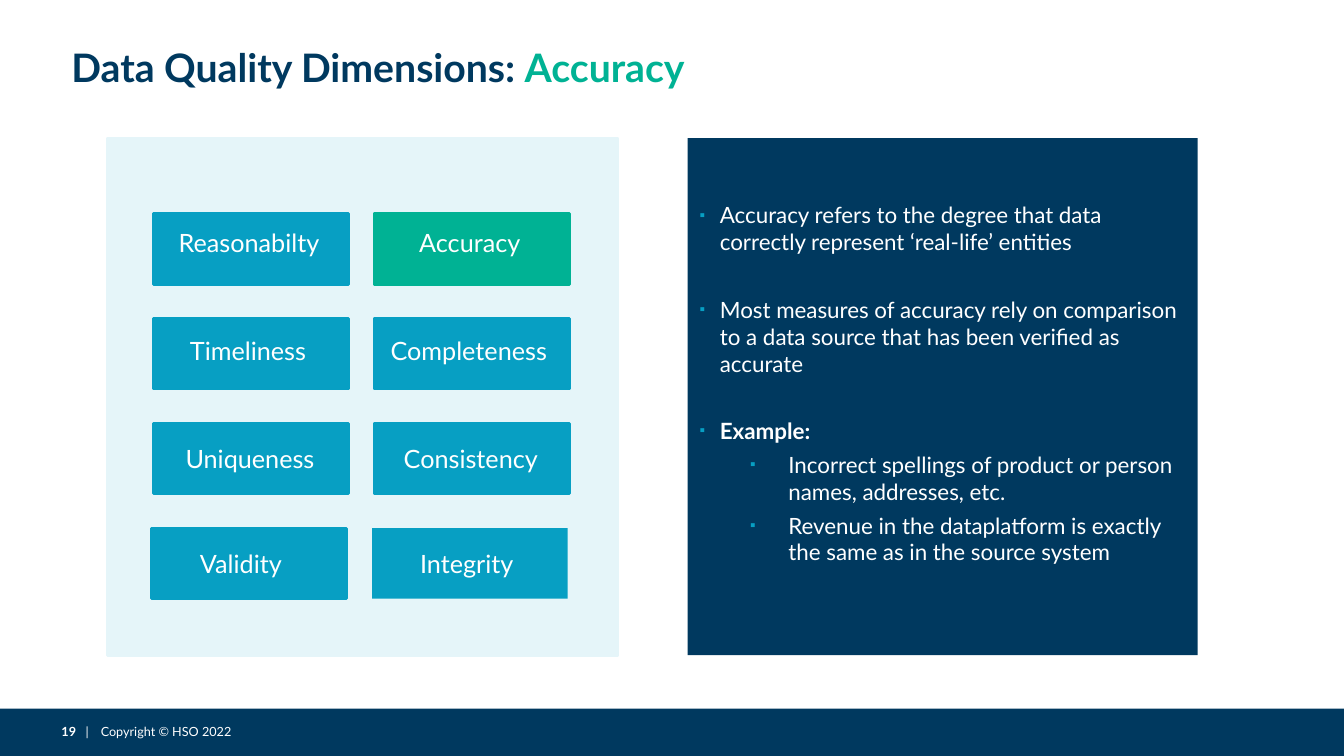
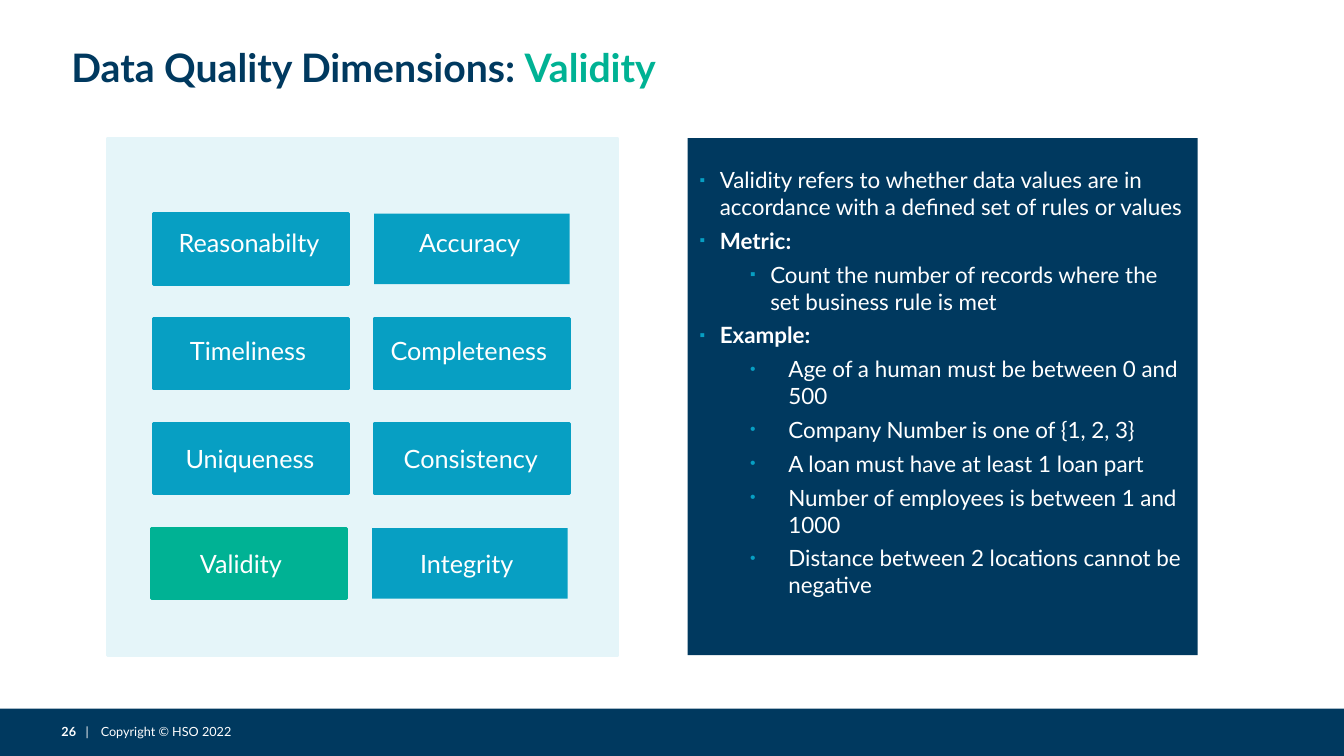
from lxml import etree
from pptx import Presentation
from pptx import util as u
from pptx.dml.color import RGBColor
from pptx.enum import shapes, text
from pptx.oxml.ns import qn

PX = 9144  # 100 px to the inch
FONT = "Lato"
HEX = {"navy": "00395F", "blue": "079FC3", "green": "00B294",
       "pale": "E5F5F9", "white": "FFFFFF"}

# label, shift of the text to the left, shift of the text upwards
TILES = [
    [("Reasonabilty", 2, 6), ("Accuracy", 2, 6)],
    [("Timeliness", 3, 3), ("Completeness", 3, 3)],
    [("Uniqueness", 1, 0), ("Consistency", 1, 0)],
    [("Validity", 8, 0), ("Integrity", 3, 0)],
]
TILE_W, TILE_H = 194, 70
TILE_X, TILE_Y = 152, 212
STEP_X, STEP_Y = 219, 104
LAST_DX = -2

# kind: bullet, text indent, hanging indent, bold
KINDS = {
    "main": ("▪", 20, 20, False),
    "head": ("▪", 20, 20, True),
    "near": ("▪", 70, 20, False),
    "sub": ("▪", 88, 38, False),
    "dot": ("•", 88, 38, False),
}
GAP, WIDE = 5, 29  # points before a paragraph

SLIDES = [
    {"topic": "Accuracy", "page": "19", "bare": {"Integrity"}, "top": 63,
     "points": [
         ("main", GAP, "Accuracy refers to the degree that data correctly "
                       "represent ‘real-life’ entities"),
         ("main", WIDE, "Most measures of accuracy rely on comparison to a "
                        "data source that has been verified as accurate"),
         ("head", WIDE, "Example:"),
         ("sub", GAP, "Incorrect spellings of product or person names, "
                      "addresses, etc."),
         ("sub", GAP, "Revenue in the dataplatform is exactly the same as in "
                      "the source system"),
     ]},
    {"topic": "Validity", "page": "26", "bare": {"Accuracy", "Integrity"},
     "top": 28,
     "points": [
         ("main", GAP, "Validity refers to whether data values are in "
                       "accordance with a defined set of rules or values"),
         ("head", GAP, "Metric:"),
         ("near", GAP, "Count the number of records where the set business "
                       "rule is met"),
         ("head", GAP, "Example:"),
         ("dot", GAP, "Age of a human must be between 0 and 500"),
         ("dot", GAP, "Company Number is one of {1, 2, 3}"),
         ("dot", GAP, "A loan must have at least 1 loan part"),
         ("dot", GAP, "Number of employees is between 1 and 1000"),
         ("dot", GAP, "Distance between 2 locations cannot be negative"),
     ]},
]


def rgb(name):
    return RGBColor.from_string(HEX[name])


def style(font, size, color, bold=False):
    font.name, font.size, font.bold = FONT, u.Pt(size), bold
    font.color.rgb = rgb(color)


def add_run(para, words, *look):
    run = para.add_run()
    run.text = words
    style(run.font, *look)


def set_frame(shape, left, top, right, bottom, anchor):
    frame = shape.text_frame
    frame.word_wrap = True
    frame.margin_left, frame.margin_top = left * PX, top * PX
    frame.margin_right, frame.margin_bottom = right * PX, bottom * PX
    frame.vertical_anchor = anchor
    return frame


def add_text(slide, box, side, edge):
    shape = slide.shapes.add_textbox(*(n * PX for n in box))
    frame = set_frame(shape, side, edge, side, edge, text.MSO_ANCHOR.MIDDLE)
    return frame.paragraphs[0]


def add_rect(slide, box, color, line=False):
    shape = slide.shapes.add_shape(shapes.MSO_SHAPE.RECTANGLE,
                                   *(n * PX for n in box))
    shape.shadow.inherit = False
    shape.fill.solid()
    shape.fill.fore_color.rgb = rgb(color)
    if line:
        shape.line.color.rgb = rgb(color)
        shape.line.width = u.Pt(2)
    else:
        shape.line.fill.background()
    return shape


def add_sub(parent, tag, **attrs):
    return etree.SubElement(parent, qn(tag), **attrs)


def set_bullet(para, mark, indent, hang):
    props = para._p.get_or_add_pPr()
    props.set("marL", str(indent * PX))
    props.set("indent", str(-hang * PX))
    add_sub(add_sub(props, "a:buClr"), "a:srgbClr", val=HEX["blue"])
    add_sub(props, "a:buSzPct", val="70000")
    add_sub(props, "a:buFont", typeface="Arial")
    add_sub(props, "a:buChar", char=mark)


def add_frame(slide, topic, page):
    """Add the title, the footer band and the footer text."""
    add_rect(slide, (0, 703, 1333, 47), "navy")
    foot = add_text(slide, (61, 718, 184, 15), 0, 0)
    tabs = add_sub(foot._p.get_or_add_pPr(), "a:tabLst")
    for stop in (24, 39):
        add_sub(tabs, "a:tab", pos=str(stop * PX), algn="l")
    add_run(foot, page, 9, "white", True)
    add_run(foot, "\t|\tCopyright © HSO 2022", 9, "white")
    title = add_text(slide, (61, 39, 1211, 55), 10, 4)
    add_run(title, "Data Quality Dimensions: ", 28, "navy", True)
    add_run(title, topic, 28, "green", True)


def add_points(slide, points, top):
    panel = add_rect(slide, (682, 137, 506, 513), "navy")
    frame = set_frame(panel, 12, top, 12, 12, text.MSO_ANCHOR.TOP)
    for i, (kind, space, words) in enumerate(points):
        para = frame.add_paragraph() if i else frame.paragraphs[0]
        mark, indent, hang, bold = KINDS[kind]
        para.text = words
        para.alignment = text.PP_ALIGN.LEFT
        set_bullet(para, mark, indent, hang)
        if i:
            para.space_before = u.Pt(space)
        style(para.runs[0].font, 16, "white", bold)


def add_tiles(slide, topic, bare):
    add_rect(slide, (107, 137, 506, 513), "pale", True)
    for r, row in enumerate(TILES):
        dx = LAST_DX if r == len(TILES) - 1 else 0
        for c, (label, left, lift) in enumerate(row):
            box = (TILE_X + c * STEP_X + dx, TILE_Y + r * STEP_Y,
                   TILE_W, TILE_H)
            color = "green" if label == topic else "blue"
            tile = add_rect(slide, box, color, label not in bare)
            frame = set_frame(tile, 0, 0, 2 * left, 2 * lift,
                              text.MSO_ANCHOR.MIDDLE)
            para = frame.paragraphs[0]
            para.text = label
            para.alignment = text.PP_ALIGN.CENTER
            style(para.runs[0].font, 18, "white")


def main():
    deck = Presentation()
    deck.slide_width, deck.slide_height = 1333 * PX, 750 * PX
    for data in SLIDES:
        slide = deck.slides.add_slide(deck.slide_layouts[6])
        add_frame(slide, data["topic"], data["page"])
        add_points(slide, data["points"], data["top"])
        add_tiles(slide, data["topic"], data["bare"])
    deck.save("out.pptx")


if __name__ == "__main__":
    main()
